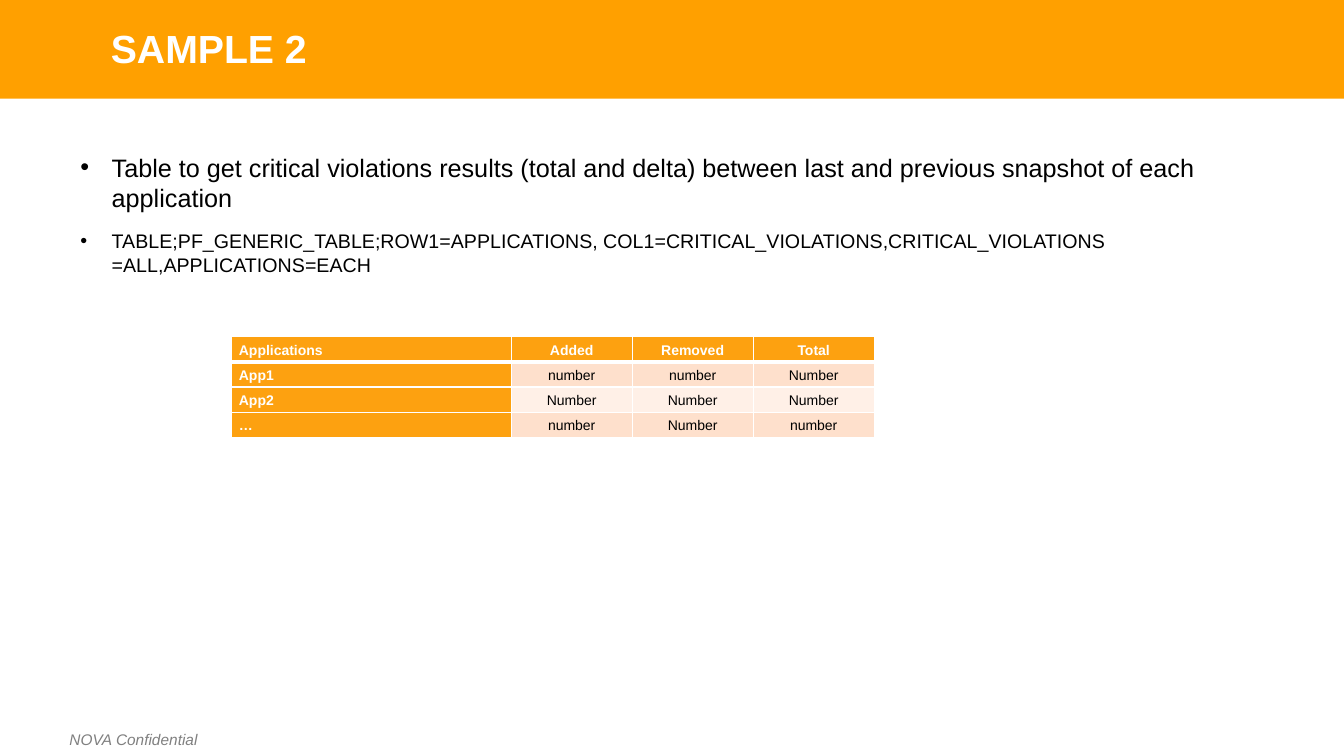
from dataclasses import dataclass

from lxml import etree
from pptx import Presentation
from pptx.dml.color import RGBColor
from pptx.enum.shapes import MSO_SHAPE
from pptx.enum.text import MSO_ANCHOR, PP_ALIGN
from pptx.oxml.ns import qn
from pptx.util import Inches, Pt

LEFT, CENTER = PP_ALIGN.LEFT, PP_ALIGN.CENTER
TOP, MIDDLE = MSO_ANCHOR.TOP, MSO_ANCHOR.MIDDLE
RECTANGLE = MSO_SHAPE.RECTANGLE

TITLE = "SAMPLE 2"
FOOTER = "NOVA Confidential"
BULLETS = [
    ("Table to get critical violations results (total and delta) between last "
     "and previous snapshot of each application", 18),
    ("TABLE;PF_GENERIC_TABLE;ROW1=APPLICATIONS, COL1=CRITICAL_VIOLATIONS,"
     "CRITICAL_VIOLATIONS =ALL,APPLICATIONS=EACH", 14),
]
VIOLATIONS = [
    ("Applications", "Added", "Removed", "Total"),
    ("App1", "number", "number", "Number"),
    ("App2", "Number", "Number", "Number"),
    ("…", "number", "Number", "number"),
]
COLUMN_WIDTHS = [2.77, 1.2, 1.2, 1.2]
ROW_HEIGHT = 0.25


@dataclass(frozen=True)
class Theme:
    font: str = "Arial"
    band: str = "FFA000"
    header: str = "FDA110"
    stripes: tuple = ("FFF0E7", "FEE0CC")
    white: str = "FFFFFF"
    black: str = "000000"
    grey: str = "808080"
    title_size: int = 28
    footer_size: int = 11
    table_size: int = 10


THEME = Theme()


def write(para, text, size, color=THEME.black, bold=False, italic=False,
          align=LEFT, spacing=1.0):
    para.alignment = align
    para.line_spacing = spacing
    span = para.add_run()
    span.text = text
    font = span.font
    font.name, font.size = THEME.font, Pt(size)
    font.bold, font.italic = bold, italic
    font.color.rgb = RGBColor.from_string(color)


def add_bullet(para, indent):
    props = para._p.get_or_add_pPr()
    props.set("marL", str(Inches(indent)))
    props.set("indent", str(-Inches(indent)))
    etree.SubElement(props, qn("a:buFont"), typeface=THEME.font)
    etree.SubElement(props, qn("a:buChar"), char="•")


def set_borders(cell, **widths):
    """Draw white cell borders; widths are points keyed by side L, R, T, B."""
    props = cell._tc.get_or_add_tcPr()
    for position, (side, width) in enumerate(widths.items()):
        line = etree.Element(qn(f"a:ln{side}"), w=str(Pt(width)))
        fill = etree.SubElement(line, qn("a:solidFill"))
        etree.SubElement(fill, qn("a:srgbClr"), val=THEME.white)
        props.insert(position, line)


def add_text_box(page, left, top, width, height, wrap=True):
    box = page.shapes.add_textbox(*map(Inches, (left, top, width, height)))
    box.text_frame.word_wrap = wrap
    return box.text_frame


def add_heading(page, page_width):
    band = page.shapes.add_shape(RECTANGLE, 0, 0, page_width, Inches(0.98))
    band.shadow.inherit = False
    band.fill.solid()
    band.fill.fore_color.rgb = RGBColor.from_string(THEME.band)
    band.line.fill.background()

    title = page.shapes.title
    title._element.addprevious(band._element)
    title.left, title.top = Inches(1), Inches(0.28)
    title.width, title.height = Inches(11.5), Inches(0.44)
    title.text_frame.vertical_anchor = MIDDLE
    write(title.text_frame.paragraphs[0], TITLE, THEME.title_size,
          color=THEME.white, bold=True, spacing=0.9)


def add_bullets(page):
    frame = add_text_box(page, 0.7, 1.46, 11.96, 1.5)
    frame.vertical_anchor = TOP
    for number, (text, size) in enumerate(BULLETS):
        para = frame.add_paragraph() if number else frame.paragraphs[0]
        write(para, text, size)
        para.space_before = Pt(12)
        add_bullet(para, 0.31)


def add_violations(page):
    rows, columns = len(VIOLATIONS), len(COLUMN_WIDTHS)
    frame = page.shapes.add_table(
        rows, columns, Inches(2.3), Inches(3.34),
        Inches(sum(COLUMN_WIDTHS)), Inches(rows * ROW_HEIGHT))
    table = frame.table
    table.first_col = True
    for column, width in zip(table.columns, COLUMN_WIDTHS):
        column.width = Inches(width)
    for r, texts in enumerate(VIOLATIONS):
        table.rows[r].height = Inches(ROW_HEIGHT)
        for c, text in enumerate(texts):
            cell = table.cell(r, c)
            heading = r == 0 or c == 0
            fill = THEME.header if heading else THEME.stripes[r % 2]
            cell.fill.solid()
            cell.fill.fore_color.rgb = RGBColor.from_string(fill)
            cell.vertical_anchor = MIDDLE
            cell.margin_left = cell.margin_right = Inches(0.07)
            cell.margin_top = cell.margin_bottom = 0
            set_borders(cell, L=1, R=1, T=3 if r == 1 else 1,
                        B=3 if r == 0 else 1)
            write(cell.text_frame.paragraphs[0], text, THEME.table_size,
                  color=THEME.white if heading else THEME.black,
                  bold=heading, align=CENTER if c else LEFT, spacing=1.15)


def main():
    deck = Presentation()
    deck.slide_width, deck.slide_height = Inches(13.33), Inches(7.5)
    page = deck.slides.add_slide(deck.slide_layouts[5])
    add_heading(page, deck.slide_width)
    footer = add_text_box(page, 0.59, 7.19, 1.47, 0.29, wrap=False)
    write(footer.paragraphs[0], FOOTER, THEME.footer_size,
          color=THEME.grey, italic=True)
    add_bullets(page)
    add_violations(page)
    deck.save("out.pptx")


if __name__ == "__main__":
    main()
